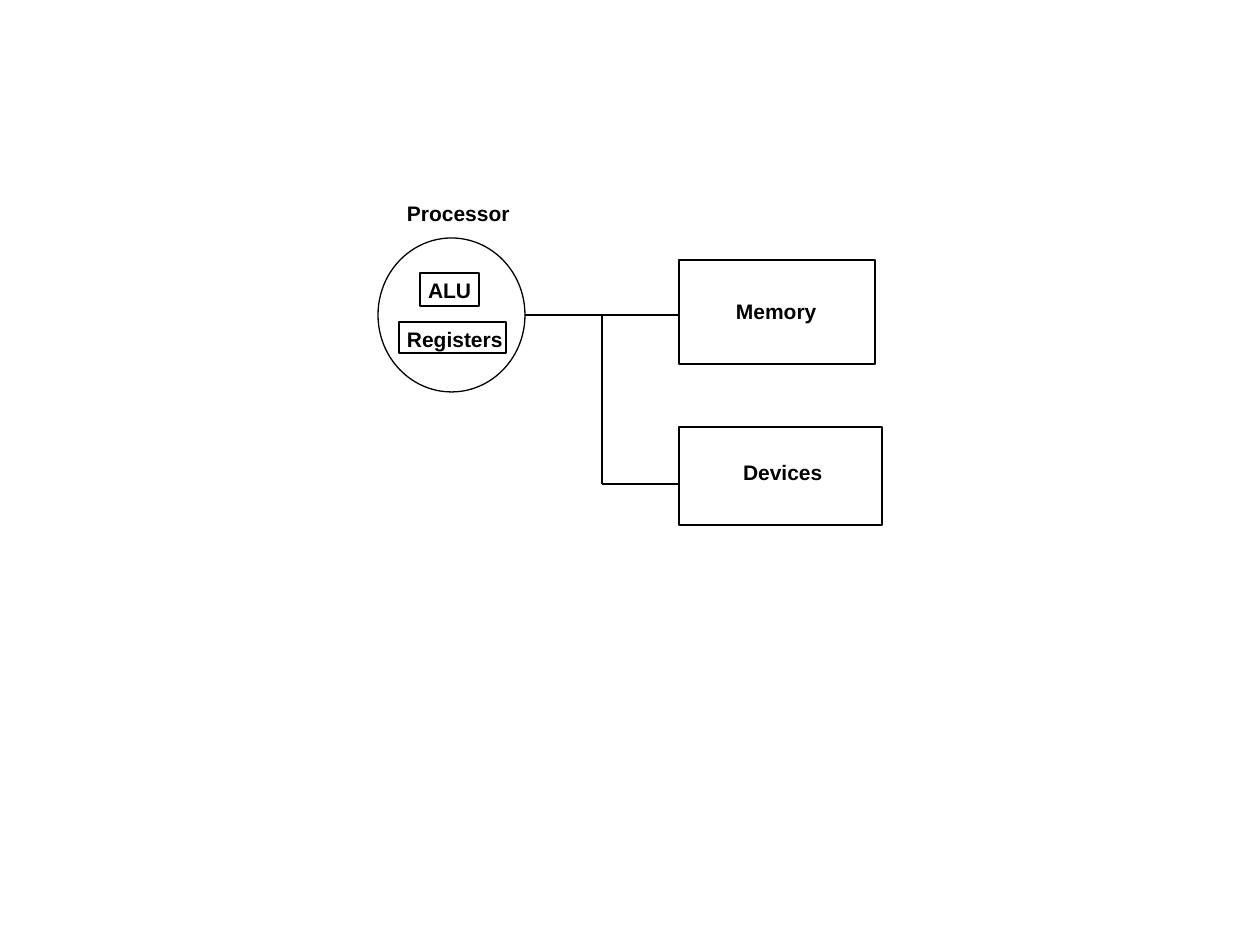
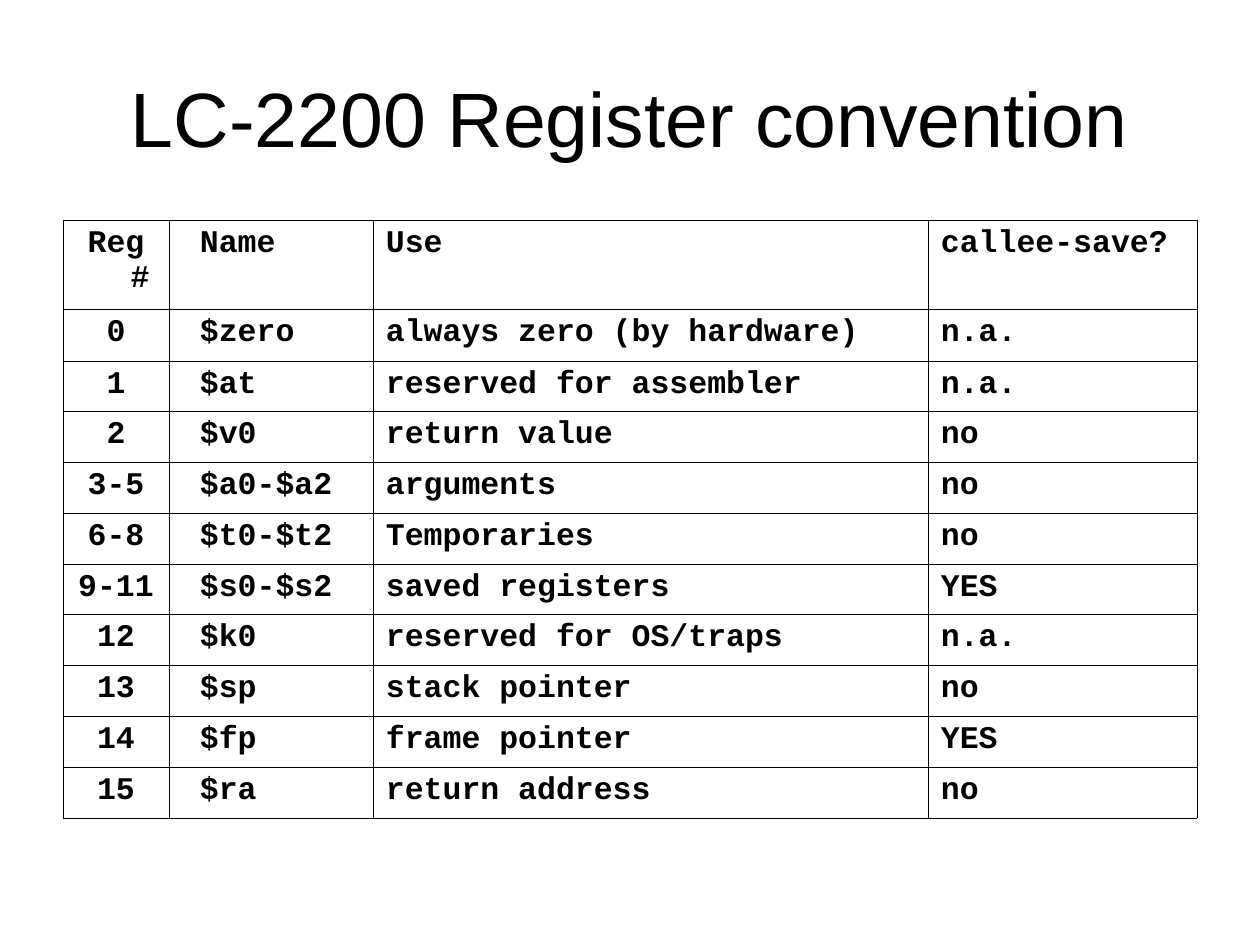
from lxml import etree
from pptx import Presentation
from pptx.dml.color import RGBColor
from pptx.enum.shapes import MSO_CONNECTOR, MSO_SHAPE
from pptx.enum.text import MSO_ANCHOR, MSO_AUTO_SIZE, PP_ALIGN
from pptx.oxml.ns import qn
from pptx.util import Pt

EMU_PER_PX = 914400 / 126
BLACK = RGBColor(0x00, 0x00, 0x00)
SANS, MONO = "Arial", "Courier New"
OVAL, RECTANGLE = MSO_SHAPE.OVAL, MSO_SHAPE.RECTANGLE
STRAIGHT = MSO_CONNECTOR.STRAIGHT
LEFT, CENTER = PP_ALIGN.LEFT, PP_ALIGN.CENTER
TOP, MIDDLE = MSO_ANCHOR.TOP, MSO_ANCHOR.MIDDLE
NO_AUTOFIT = MSO_AUTO_SIZE.NONE
TITLE_ONLY, BLANK = 5, 6

LINE_WIDTH = Pt(0.75)
BORDER_WIDTH = Pt(0.45)
HANGING_INDENT = 48
COLUMN_WIDTHS = [106, 204, 555, 269]
COLUMN_INSETS = [13, 31, 13, 13]
ROW_HEIGHTS = [89, 52, 50, 51, 51, 51, 50, 51, 51, 51, 51]
REGISTERS = [
    ("Reg #", "Name", "Use", "callee-save?"),
    ("0", "$zero", "always zero (by hardware)", "n.a."),
    ("1", "$at", "reserved for assembler", "n.a."),
    ("2", "$v0", "return value", "no"),
    ("3-5", "$a0-$a2", "arguments", "no"),
    ("6-8", "$t0-$t2", "Temporaries", "no"),
    ("9-11", "$s0-$s2", "saved registers", "YES"),
    ("12", "$k0", "reserved for OS/traps", "n.a."),
    ("13", "$sp", "stack pointer", "no"),
    ("14", "$fp", "frame pointer", "YES"),
    ("15", "$ra", "return address", "no"),
]


def px(length):
    return round(length * EMU_PER_PX)


def write(frame, text, size, font=SANS, bold=True, align=LEFT):
    paragraph = frame.paragraphs[0]
    paragraph.alignment = align
    run = paragraph.add_run()
    run.text = text
    run.font.size = Pt(size)
    run.font.name = font
    run.font.bold = bold
    run.font.color.rgb = BLACK
    return paragraph


def write_label(frame, text):
    """Write a part's name, unwrapped and close to the top left corner."""
    frame.margin_left = frame.margin_right = px(8)
    frame.margin_top, frame.margin_bottom = px(5), px(4)
    frame.word_wrap = False
    frame.auto_size = NO_AUTOFIT
    frame.vertical_anchor = TOP
    write(frame, text, 12)


def add_label(slide, text, x, y, width, height=34):
    label = slide.shapes.add_textbox(px(x), px(y), px(width), px(height))
    write_label(label.text_frame, text)


def add_outline(slide, preset, x, y, width, height, text=None):
    outline = slide.shapes.add_shape(preset, px(x), px(y), px(width), px(height))
    outline.shadow.inherit = False
    outline.fill.background()
    outline.line.color.rgb = BLACK
    outline.line.width = LINE_WIDTH
    if text:
        write_label(outline.text_frame, text)


def add_wire(slide, x1, y1, x2, y2):
    wire = slide.shapes.add_connector(STRAIGHT, px(x1), px(y1), px(x2), px(y2))
    wire.line.color.rgb = BLACK
    wire.line.width = LINE_WIDTH
    etree.SubElement(wire._element.spPr, qn("a:effectLst"))


def add_title(slide, text):
    title = slide.shapes.title
    title.left, title.top = px(63), px(38)
    title.width, title.height = px(1134), px(158)
    title.text_frame.auto_size = NO_AUTOFIT
    title.text_frame.vertical_anchor = MIDDLE
    write(title.text_frame, text, 44, bold=False, align=CENTER)


def set_borders(cell):
    properties = cell._tc.get_or_add_tcPr()
    for side in ("a:lnL", "a:lnR", "a:lnT", "a:lnB"):
        border = etree.SubElement(properties, qn(side), w=str(BORDER_WIDTH))
        fill = etree.SubElement(border, qn("a:solidFill"))
        etree.SubElement(fill, qn("a:srgbClr"), val=str(BLACK))


def fill_cell(cell, text, inset, align):
    set_borders(cell)
    cell.fill.background()
    cell.margin_left, cell.margin_right = px(inset), px(13)
    cell.margin_top = cell.margin_bottom = px(6)
    paragraph = write(cell.text_frame, text, 18, MONO, align=align)
    properties = paragraph._p.get_or_add_pPr()
    properties.set("marL", str(px(HANGING_INDENT)))
    properties.set("indent", str(-px(HANGING_INDENT)))


def add_register_table(slide, x, y):
    table = slide.shapes.add_table(
        len(REGISTERS), len(COLUMN_WIDTHS), px(x), px(y),
        px(sum(COLUMN_WIDTHS)), px(sum(ROW_HEIGHTS))).table
    table.first_row = table.horz_banding = False
    for column, width in zip(table.columns, COLUMN_WIDTHS):
        column.width = px(width)
    for row, height, register in zip(table.rows, ROW_HEIGHTS, REGISTERS):
        row.height = px(height)
        for index, (cell, text) in enumerate(zip(row.cells, register)):
            align = CENTER if index == 0 else LEFT
            fill_cell(cell, text, COLUMN_INSETS[index], align)


def build_computer_slide(deck):
    slide = deck.slides.add_slide(deck.slide_layouts[BLANK])
    bus_x, memory_y, devices_y = 602, 315, 484
    processor_right, units_left = 525, 679

    add_label(slide, "Processor", 399, 196, 121)
    add_outline(slide, OVAL, 378, 238, processor_right - 378, 154)
    add_label(slide, "Memory", 728, 293, 99)
    add_outline(slide, RECTANGLE, units_left, 260, 196, 104)
    add_outline(slide, RECTANGLE, units_left, 427, 203, 98)
    add_label(slide, "Devices", 735, 455, 97)

    add_wire(slide, processor_right, memory_y, units_left, memory_y)
    add_wire(slide, bus_x, memory_y, bus_x, devices_y)
    add_wire(slide, bus_x, devices_y, units_left, devices_y)

    add_outline(slide, RECTANGLE, 420, 273, 59, 33, "ALU")
    add_outline(slide, RECTANGLE, 399, 322, 107, 31, "Registers")


def build_register_slide(deck):
    slide = deck.slides.add_slide(deck.slide_layouts[TITLE_ONLY])
    add_title(slide, "LC-2200 Register convention")
    add_register_table(slide, 63, 220)


def main():
    deck = Presentation()
    deck.slide_width, deck.slide_height = px(1260), px(945)
    build_computer_slide(deck)
    build_register_slide(deck)
    deck.save("out.pptx")


if __name__ == "__main__":
    main()
